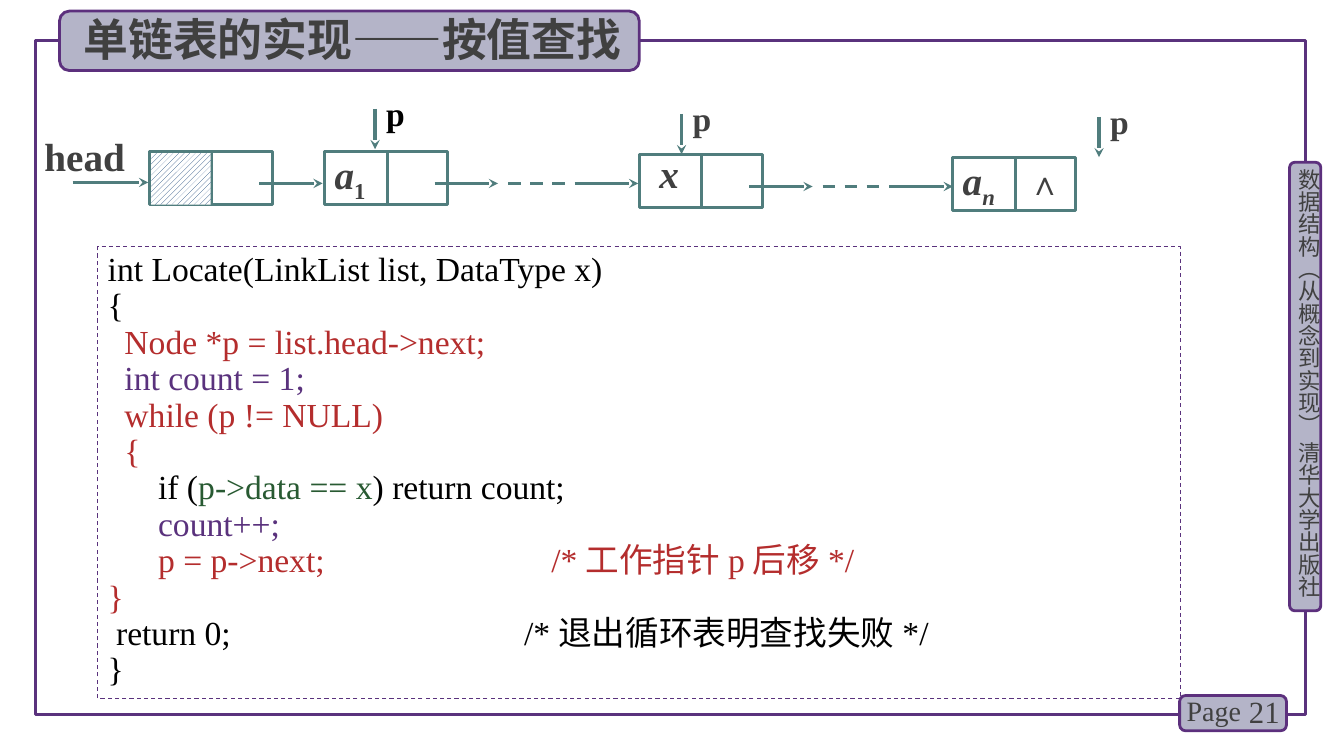
import pptx
import pptx.util
import pptx.dml.color
import pptx.enum.dml
import pptx.enum.shapes
import pptx.enum.text
import pptx.oxml
import pptx.oxml.ns
from dataclasses import dataclass
from lxml import etree


@dataclass(frozen=True)
class Theme:
    serif: str = "Times New Roman"
    cjk: str = "Noto Sans CJK SC"
    ink: str = "404040"
    black: str = "000000"
    white: str = "FFFFFF"
    frame: str = "5A327D"
    tab_line: str = "5C307D"
    tab_fill: str = "B4B4C8"
    link: str = "507D7D"
    hatch: str = "1F497D"
    red: str = "B42D2D"
    green: str = "285A32"
    title: int = 32
    node: int = 28
    code: int = 24
    number: int = 22
    page: int = 20
    side: int = 16
    thick: float = 2.25
    medium: float = 2
    thin: float = 0.75


T = Theme()
SHAPE = pptx.enum.shapes.MSO_SHAPE
DASH = pptx.enum.dml.MSO_LINE.DASH
ALIGN = pptx.enum.text.PP_ALIGN
ANCHOR = pptx.enum.text.MSO_ANCHOR
qn = pptx.oxml.ns.qn

COLS, ROWS = 133.3, 75
prs = pptx.Presentation()
prs.slide_width = pptx.util.Inches(13.33)
prs.slide_height = pptx.util.Inches(7.5)
COL, ROW = prs.slide_width / COLS, prs.slide_height / ROWS


def rgb(value):
    return pptx.dml.color.RGBColor.from_string(value)


def place(x, y, w, h):
    return round(x * COL), round(y * ROW), round(w * COL), round(h * ROW)


def rect(s, box, line=None, width=T.thick, fill=None, dash=None, kind=SHAPE.RECTANGLE):
    sp = s.shapes.add_shape(kind, *place(*box))
    sp.shadow.inherit = False
    if fill:
        sp.fill.solid()
        sp.fill.fore_color.rgb = rgb(fill)
    else:
        sp.fill.background()
    if line:
        sp.line.color.rgb = rgb(line)
        sp.line.width = pptx.util.Pt(width)
        sp.line.dash_style = dash
    else:
        sp.line.fill.background()
    return sp


def tab(s, box):
    return rect(s, box, T.tab_line, T.medium, T.tab_fill, kind=SHAPE.ROUNDED_RECTANGLE)


def line(s, x, y, dx=0, dy=0, arrow=False, dash=None):
    ends = place(x, y, x + dx, y + dy)
    c = s.shapes.add_connector(pptx.enum.shapes.MSO_CONNECTOR.STRAIGHT, *ends)
    c.line.color.rgb = rgb(T.link)
    c.line.width = pptx.util.Pt(T.thick)
    c.line.dash_style = dash
    if arrow:
        etree.SubElement(c.line._get_or_add_ln(), qn("a:tailEnd"), type="stealth")
    etree.SubElement(c._element.spPr, qn("a:effectLst"))


def text(target, content, *, size, font=T.serif, color=T.ink, bold=False, italic=False,
         inset=(1, 0.5, 1, 0.5), align=ALIGN.LEFT, anchor=ANCHOR.TOP, spacing=None, tabs=None):
    tf = target.text_frame
    tf.word_wrap = True
    tf.vertical_anchor = anchor
    left, top, right, bottom = place(*inset)
    tf.margin_left, tf.margin_top, tf.margin_right, tf.margin_bottom = left, top, right, bottom
    paragraphs = [[(content, {})]] if isinstance(content, str) else content
    for i, runs in enumerate(paragraphs):
        p = tf.paragraphs[0] if i == 0 else tf.add_paragraph()
        p.alignment = align
        p.line_spacing = spacing
        if tabs and i in tabs:
            tab_list = etree.SubElement(p._p.get_or_add_pPr(), qn("a:tabLst"))
            etree.SubElement(tab_list, qn("a:tab"), pos=str(round(tabs[i] * COL)), algn="l")
        for words, own in runs:
            r = p.add_run()
            r.text = words
            r.font.size = pptx.util.Pt(size)
            r.font.name = font
            r.font.bold = bold
            r.font.italic = own.get("italic", italic)
            r.font.color.rgb = rgb(own.get("color", color))
            rPr = r._r.get_or_add_rPr()
            etree.SubElement(rPr, qn("a:ea"), typeface=T.cjk)
            if own.get("sub"):
                rPr.set("baseline", "-25000")


def label(s, box, content, **fmt):
    sp = s.shapes.add_textbox(*place(*box))
    text(sp, content, **fmt)
    return sp


def frame(s, box):
    x, y, w, h = box
    rect(s, box, T.frame)
    tab(s, (x + w - 1.6, y + 12.1, 3.1, 44.5))
    side = label(s, (x + w - 1, y + 12.7, 2.7, 44.9), "数据结构（从概念到实现） 清华大学出版社",
                 size=T.side, font=T.cjk, inset=(0, 0, 0, 0))
    side.text_frame._txBody.bodyPr.set("vert", "eaVert")
    tab(s, (x + w - 12.5, y + h - 1.9, 10.6, 3.5))
    label(s, (x + w - 7.5, y + h - 2.3, 5.9, 4), "21", size=T.number,
          align=ALIGN.RIGHT, anchor=ANCHOR.MIDDLE)
    label(s, (x + w - 12.8, y + h - 2.6, 7.8, 4.4), "Page", size=T.page)


def title(s, box):
    x, y, w, h = box
    tab(s, box)
    label(s, (x + 1.4, y - 0.4, w + 4.7, h + 0.5), "单链表的实现——按值查找",
          size=T.title, font=T.cjk, bold=True)


def node(s, x, y, content=None, indent=1):
    sp = rect(s, (x, y, 12.2, 5.3), T.link)
    if content:
        text(sp, [content], size=T.node, bold=True, italic=True,
             inset=(indent, 0, 0, 0.8), spacing=0.9)
    line(s, x + 6.2, y, dy=5.1)


def link(s, x, y):
    line(s, x, y, dx=6.3, arrow=True)


def skip(s, x, y):
    line(s, x, y, dx=6.2, dash=DASH)
    link(s, x + 6.6, y)


def pointer(s, x, y, color=T.ink):
    line(s, x, y, dy=4, arrow=True)
    label(s, (x + 1.1, y - 1.6, 2.7, 4), "p", size=T.code, color=color,
          bold=True, inset=(0, 0, 0, 0))


def chain(s, box):
    x, y, w, h = box
    label(s, (x, y + 3.9, 10.5, 5.1), "head", size=T.node, bold=True, inset=(0, 0, 0, 0.4))
    line(s, x + 2.8, y + 8.9, dx=7.5, arrow=True)
    sub = {"sub": True}
    nodes = [(10.4, 5.8, None, 1),
             (27.8, 5.8, [("a", {}), ("1", {"sub": True, "italic": False})], 1),
             (59, 6.1, [("x", {})], 2),
             (90.1, 6.4, [("a", {}), ("n", sub)], 1)]
    for i, (dx, dy, content, indent) in enumerate(nodes):
        left, top = x + dx, y + dy
        node(s, left, top, content, indent)
        if i < 3:
            link(s, left + 10.9, top + 3.2)
        if i in (1, 2):
            skip(s, left + 18.2, top + 3.2)
    hatch = rect(s, (x + 10.6, y + 6, 5.9, 5.1))
    hatch.fill.patterned()
    hatch.fill.pattern = pptx.enum.dml.MSO_PATTERN.WIDE_UPWARD_DIAGONAL
    hatch.fill.fore_color.rgb = rgb(T.hatch)
    hatch.fill.back_color.rgb = rgb(T.white)
    label(s, (x + 96.6, y + 6.4, 5.7, 4.9), "∧", size=T.code, bold=True)
    for dx, dy, color in [(32.8, 1.6, T.black), (63.2, 2.1, T.ink), (104.6, 2.4, T.ink)]:
        pointer(s, x + dx, y + dy, color)


def code(s, box):
    red, purple, green = ({"color": c} for c in (T.red, T.frame, T.green))
    lines = [
        [("int Locate(LinkList list, DataType x)", {})],
        [("{", {})],
        [("  Node *p = list.head->next;", red)],
        [("  int count = 1;", purple)],
        [("  while (p != NULL)", red)],
        [("  {", red)],
        [("      if (", {}), ("p->data == x", green), (") return count;", {})],
        [("      count++;", purple)],
        [("      p = p->next;\t/*工作指针p后移*/", red)],
        [("}", red)],
        [(" return 0;\t/*退出循环表明查找失败*/", {})],
        [("}", {})],
    ]
    sp = rect(s, box, T.frame, T.thin, dash=DASH)
    text(sp, lines, size=T.code, color=T.black, spacing=pptx.util.Pt(26),
         tabs={8: 44, 10: 41.3})


def main():
    s = prs.slides.add_slide(prs.slide_layouts[6])
    frame(s, (3.5, 4, 126, 66.9))
    title(s, (5.9, 1.1, 57.5, 5.9))
    chain(s, (4.4, 9.2, 108, 12))
    code(s, (9.7, 24.5, 107.4, 44.8))
    prs.save("out.pptx")


if __name__ == "__main__":
    main()
